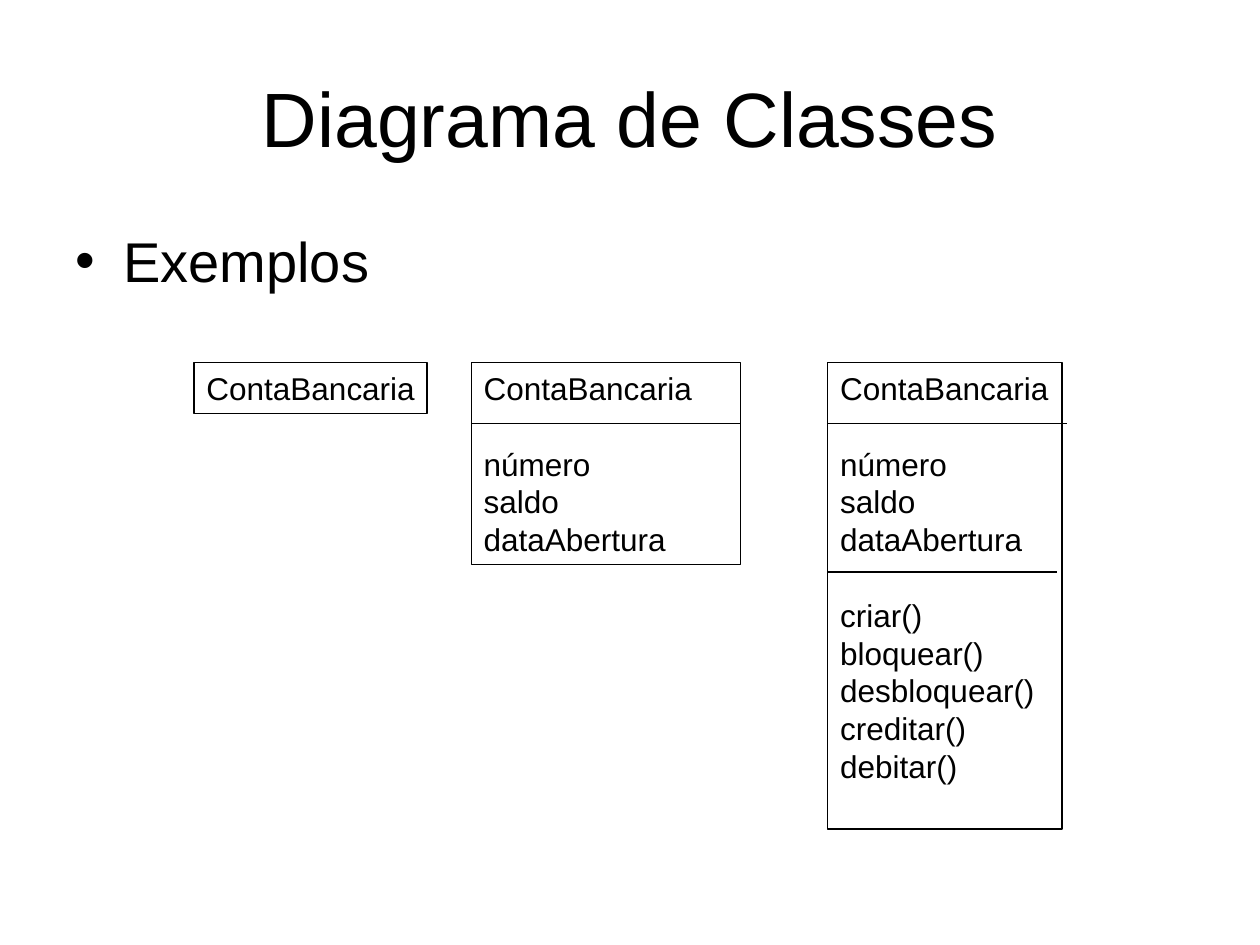
import pptx
import pptx.dml.color
import pptx.enum.shapes
import pptx.enum.text
import pptx.util
from lxml import etree
from pptx.oxml.ns import qn
from pptx.util import Inches

ALIGN = pptx.enum.text.PP_ALIGN
ANCHOR = pptx.enum.text.MSO_ANCHOR


def color(value):
    return pptx.dml.color.RGBColor.from_string(value)


class Deck:
    font = "Arial"
    ink = "000000"
    line_width = 0.75
    leading = 1.2
    title_size, body_size, class_size = 44, 32, 18

    def __init__(self):
        self.prs = pptx.Presentation()
        self.prs.slide_width, self.prs.slide_height = Inches(10), Inches(7.5)
        self.s = self.prs.slides.add_slide(self.prs.slide_layouts[6])

    def add_text(self, p, text, size):
        p.line_spacing = pptx.util.Pt(size * self.leading)
        r = p.add_run()
        r.text = text
        r.font.name = self.font
        r.font.size = pptx.util.Pt(size)
        r.font.color.rgb = color(self.ink)

    def text_box(self, x, y, w, h):
        sp = self.s.shapes.add_textbox(Inches(x), Inches(y), Inches(w), Inches(h))
        sp.text_frame.word_wrap = True
        return sp.text_frame

    def title(self, text, x, y, w, h):
        tf = self.text_box(x, y, w, h)
        tf.vertical_anchor = ANCHOR.MIDDLE
        p = tf.paragraphs[0]
        p.alignment = ALIGN.CENTER
        self.add_text(p, text, self.title_size)

    def bullet(self, text, x, y, w, h, indent=0.38):
        p = self.text_box(x, y, w, h).paragraphs[0]
        pPr = p._p.get_or_add_pPr()
        pPr.set("marL", str(Inches(indent)))
        pPr.set("indent", str(-Inches(indent)))
        etree.SubElement(pPr, qn("a:buFont")).set("typeface", self.font)
        etree.SubElement(pPr, qn("a:buChar")).set("char", "•")
        self.add_text(p, text, self.body_size)

    def class_box(self, sections, x, y, w, h, wrap=True):
        """Outlined box; one blank line's height separates the sections."""
        sp = self.s.shapes.add_shape(pptx.enum.shapes.MSO_SHAPE.RECTANGLE,
                                     Inches(x), Inches(y), Inches(w), Inches(h))
        sp.shadow.inherit = False
        sp.fill.background()
        sp.line.color.rgb = color(self.ink)
        sp.line.width = pptx.util.Pt(self.line_width)
        tf = sp.text_frame
        tf.word_wrap = wrap
        tf.vertical_anchor = ANCHOR.TOP
        for i, section in enumerate(sections):
            for j, text in enumerate(section):
                first = i == j == 0
                p = tf.paragraphs[0] if first else tf.add_paragraph()
                p.alignment = ALIGN.LEFT
                if i and j == 0:
                    p.space_before = pptx.util.Pt(self.class_size * self.leading)
                self.add_text(p, text, self.class_size)

    def divider(self, x, y, w):
        cn = self.s.shapes.add_connector(pptx.enum.shapes.MSO_CONNECTOR.STRAIGHT,
                                         Inches(x), Inches(y), Inches(x + w), Inches(y))
        cn.line.color.rgb = color(self.ink)
        cn.line.width = pptx.util.Pt(self.line_width)
        etree.SubElement(cn._element.spPr, qn("a:effectLst"))


def main():
    deck = Deck()

    # Heading and bullet
    deck.title("Diagrama de Classes", 0.5, 0.3, 9, 1.25)
    deck.bullet("Exemplos", 0.5, 1.75, 9, 4.95)

    # The same class in three levels of detail
    name = ["ContaBancaria"]
    attributes = ["número", "saldo", "dataAbertura"]
    methods = ["criar()", "bloquear()", "desbloquear()", "creditar()", "debitar()"]
    top, name_line, attribute_line = 2.88, 3.36, 4.54

    deck.class_box([name], 1.54, top, 1.85, 0.4, wrap=False)

    deck.class_box([name, attributes], 3.74, top, 2.14, 1.6)
    deck.divider(3.74, name_line, 2.13)

    deck.class_box([name, attributes, methods], 6.57, top, 1.86, 3.7)
    deck.divider(6.57, name_line, 1.9)
    deck.divider(6.57, attribute_line, 1.82)

    deck.prs.save("out.pptx")


if __name__ == "__main__":
    main()
